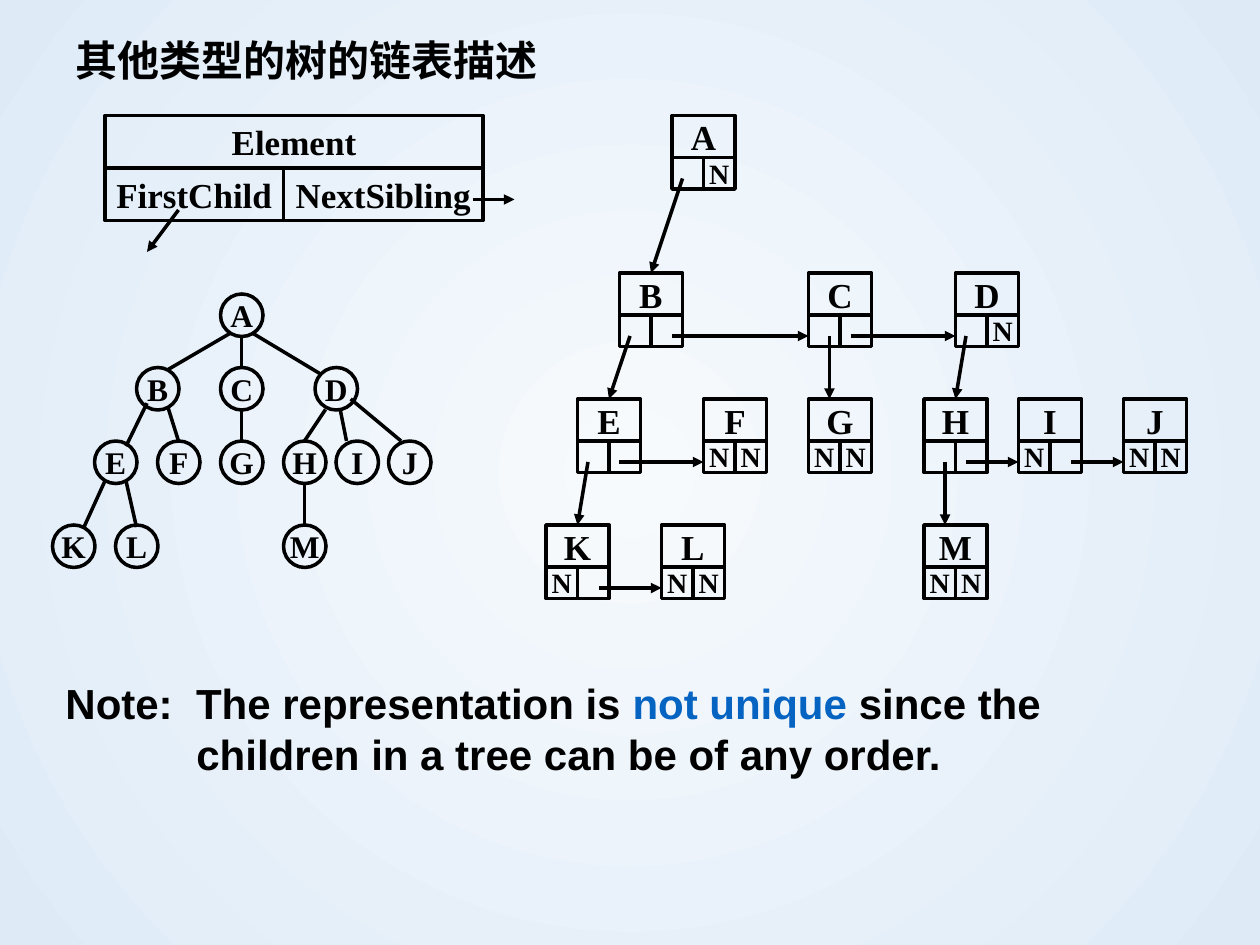
import pptx
import pptx.util
import pptx.dml.color
import pptx.enum.shapes
import pptx.enum.text
import pptx.oxml.ns
from lxml import etree

Cm, Pt = pptx.util.Cm, pptx.util.Pt
RGB = pptx.dml.color.RGBColor
SHAPE = pptx.enum.shapes.MSO_SHAPE
LINK = pptx.enum.shapes.MSO_CONNECTOR
ANCHOR = pptx.enum.text.MSO_ANCHOR
ALIGN = pptx.enum.text.PP_ALIGN
FIT = pptx.enum.text.MSO_AUTO_SIZE
qn = pptx.oxml.ns.qn

BLACK = RGB(0, 0, 0)
BLUE = RGB(0x05, 0x63, 0xC1)
PALE = RGB(0xF7, 0xFA, 0xFD)
SKY = RGB(0xDE, 0xEB, 0xF7)
SERIF = "Times New Roman"
UNIT = Cm(2.54) / 12  # the diagrams sit on a grid of twelfths of an inch


def write(para, text, size=24, font=SERIF, color=BLACK):
    run = para.add_run()
    run.text = text
    run.font.size = Pt(size)
    run.font.name = font
    run.font.bold = True
    run.font.color.rgb = color


def draw(group, kind, x, y, w, h, text="", size=20):
    """Add an outlined shape, placed in grid units, with centred text."""
    box = group.shapes.add_shape(kind, *(round(n * UNIT) for n in (x, y, w, h)))
    box.shadow.inherit = False
    box.fill.background()
    box.line.color.rgb = BLACK
    box.line.width = Pt(2)
    frame = box.text_frame
    frame.word_wrap = False
    frame.vertical_anchor = ANCHOR.MIDDLE
    if text:
        frame.paragraphs[0].alignment = ALIGN.CENTER
        write(frame.paragraphs[0], text, size)


deck = pptx.Presentation()
deck.slide_width, deck.slide_height = Cm(25.4), Cm(19.05)
slide = deck.slides.add_slide(deck.slide_layouts[5])

# Background: light centre, darker rim
fill = slide.background.fill
fill.gradient()
for stop, color in zip(fill.gradient_stops, (PALE, SKY)):
    stop.color.rgb = color
grad = slide.element.xpath(".//p:bg//a:gradFill")[0]
for lin in grad.findall(qn("a:lin")):
    grad.remove(lin)
ring = etree.SubElement(grad, qn("a:path"), {"path": "circle"})
etree.SubElement(ring, qn("a:fillToRect"), dict.fromkeys("ltrb", "50000"))

# Title
title = slide.shapes.title
title.left, title.top, title.width, title.height = Cm(1.27), Cm(0.56), Cm(13.97), Cm(1.27)
title.text_frame.vertical_anchor = ANCHOR.TOP
title.text_frame.auto_size = FIT.SHAPE_TO_FIT_TEXT
head = title.text_frame.paragraphs[0]
head.alignment = ALIGN.LEFT
write(head, "其他类型的树的链表描述")

legend, tree, chain = (slide.shapes.add_group_shape() for _ in range(3))

# Node layout
draw(legend, SHAPE.RECTANGLE, 10, 16, 17, 5, "FirstChild")
draw(legend, SHAPE.RECTANGLE, 27, 16, 19, 5, "NextSibling")
draw(legend, SHAPE.RECTANGLE, 10, 11, 36, 5, "Element")
arrows = [(legend, 17, 20, 14, 24), (legend, 45, 19, 49, 19)]

# Tree of circles
rows = {
    28: {"A": 21},
    35: {"B": 13, "C": 21, "D": 30},
    42: {"E": 9, "F": 15, "G": 21, "H": 27, "I": 32, "J": 37},
    50: {"K": 5, "L": 11, "M": 27},
}
for y, row in rows.items():
    for name, x in row.items():
        draw(tree, SHAPE.OVAL, x, y, 4.05, 4.05, name, 18)
edges = [
    (23, 32, 23, 35), (22, 31.7, 16, 35.2), (24, 31.7, 30.5, 35.6),
    (14, 38.4, 12, 42.5), (16, 38.8, 17, 42), (23, 39, 23, 42),
    (31, 39, 29, 42), (32.4, 39, 33, 42), (33.4, 38, 38.2, 42),
    (10, 45.8, 8, 50.2), (12, 45.8, 13, 50.2), (29, 46, 29, 50),
]

# Linked nodes: first child below, next sibling to the right
nodes = {
    "A": (64, 11), "B": (59, 26), "C": (77, 26), "D": (91, 26),
    "E": (55, 38), "F": (67, 38), "G": (77, 38), "H": (88, 38),
    "I": (97, 38), "J": (107, 38), "K": (52, 50), "L": (63, 50), "M": (88, 50),
}
child = {"A": "B", "B": "E", "C": "G", "D": "H", "E": "K", "H": "M"}
# next sibling, and where in the node its arrow starts
sibling = {"B": ("C", 5), "C": ("D", 4), "E": ("F", 4),
           "H": ("I", 4), "I": ("J", 5), "K": ("L", 5)}
for name, (x, y) in nodes.items():
    draw(chain, SHAPE.RECTANGLE, x, y + 4, 3, 3, "" if name in child else "N", 16)
    draw(chain, SHAPE.RECTANGLE, x + 3, y + 4, 3, 3, "" if name in sibling else "N", 16)
    draw(chain, SHAPE.RECTANGLE, x, y, 6, 4, name)
    if name in child:
        left, top = nodes[child[name]]
        start, end = (2, 2) if left == x else (1, 3)
        arrows.append((chain, x + start, y + 6, left + end, top))
    if name in sibling:
        mate, start = sibling[name]
        arrows.append((chain, x + start, y + 6, nodes[mate][0], y + 6))

# All lines; those outside the circle tree carry arrowheads
for group, *ends in [(tree, *edge) for edge in edges] + arrows:
    line = group.shapes.add_connector(LINK.STRAIGHT, *(round(n * UNIT) for n in ends))
    line.line.color.rgb = BLACK
    line.line.width = Pt(2)
    if group is not tree:
        etree.SubElement(line.element.xpath(".//a:ln")[0], qn("a:tailEnd"), {"type": "triangle"})
    etree.SubElement(line.element.spPr, qn("a:effectLst"))

# Note with a hanging indent
note = slide.shapes.add_textbox(Cm(1.07), Cm(13.54), Cm(22.02), Cm(2.29))
note.text_frame.word_wrap = True
note.text_frame.auto_size = FIT.SHAPE_TO_FIT_TEXT
props = note.element.xpath(".//a:p")[0].get_or_add_pPr()
props.set("marL", str(Cm(2.64)))
props.set("indent", str(-Cm(2.64)))
para = note.text_frame.paragraphs[0]
for text, color in (
    ("Note:  The representation is ", BLACK),
    ("not unique", BLUE),
    (" since the children in a tree can be of any order.", BLACK),
):
    write(para, text, font="Arial", color=color)

deck.save("out.pptx")
